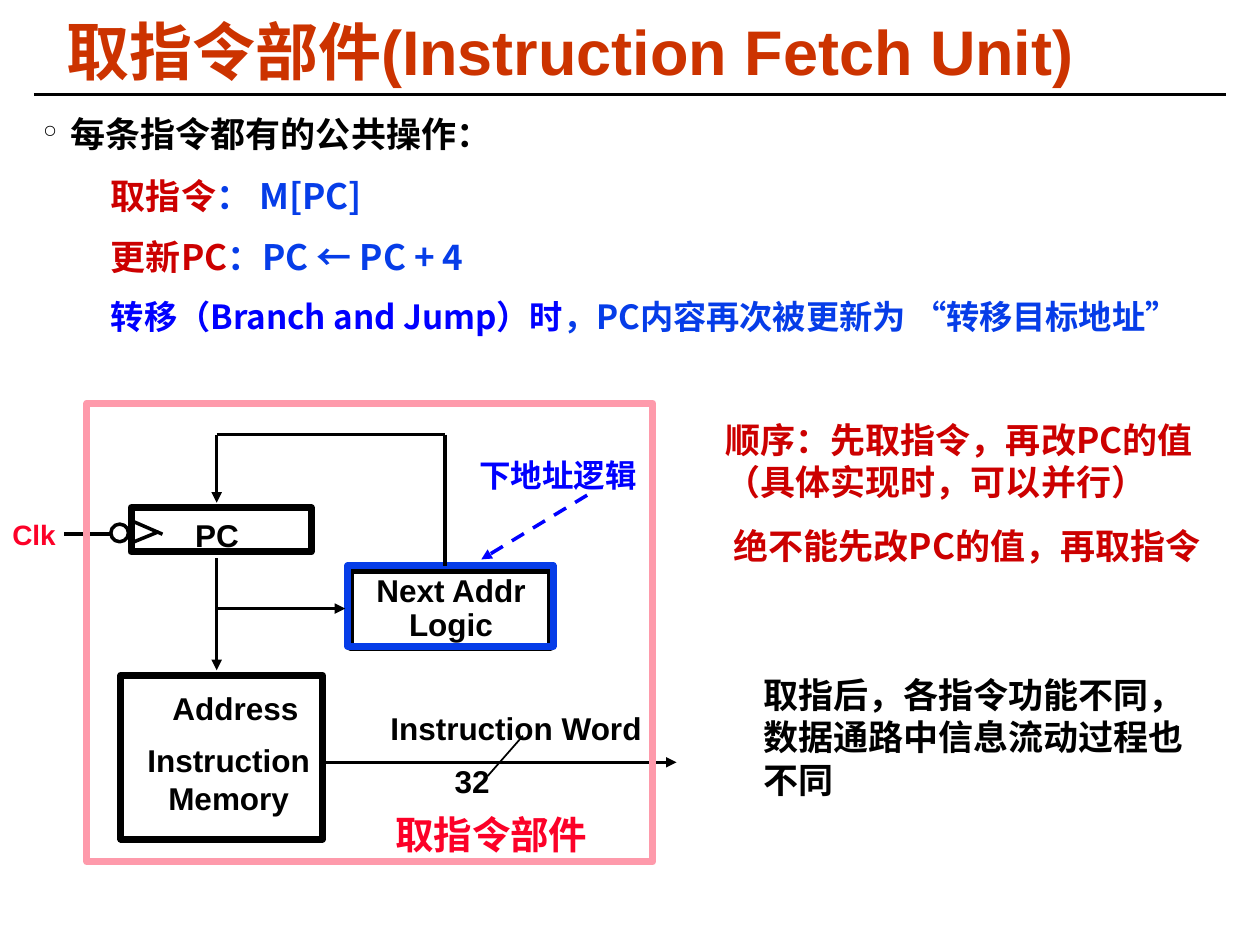
import pptx
import pptx.util
import pptx.dml.color
import pptx.enum.dml
import pptx.enum.shapes
import pptx.enum.text
import pptx.oxml
import pptx.oxml.ns
from dataclasses import dataclass

Shape = pptx.enum.shapes.MSO_SHAPE
Align = pptx.enum.text.PP_ALIGN


@dataclass(frozen=True)
class Theme:
    """Colours, fonts, and sizes in points."""
    black: str = "000000"
    title: str = "CC3300"
    red: str = "CC0000"
    blue: str = "063DE8"
    navy: str = "0000FF"
    bright: str = "FC0128"
    pink: str = "FE9AAB"
    latin: str = "Arial"
    chinese: str = "Noto Sans CJK SC"
    serif: str = "Times New Roman"
    title_size: int = 36
    body_size: int = 20
    branch_size: int = 19
    label_size: int = 18
    clock_size: int = 16
    unit_size: int = 22
    thin: float = 1
    rule: float = 1.5
    wire: float = 2
    frame: float = 4


class Canvas:
    """Draws on one slide; lengths count cells of a 100 by 75 grid."""

    def __init__(self, presentation, theme, columns=100, rows=75):
        self.theme = theme
        self.column = presentation.slide_width / columns
        self.row = presentation.slide_height / rows
        self.slide = presentation.slides.add_slide(presentation.slide_layouts[6])

    def grid(self, *lengths):
        return [round(length * (self.row if index % 2 else self.column))
                for index, length in enumerate(lengths)]

    def add_xml(self, parent, tag, content=""):
        namespace = pptx.oxml.ns.nsdecls("a")
        parent.append(pptx.oxml.parse_xml(f"<a:{tag} {namespace}{content}"))

    def color(self, value):
        return pptx.dml.color.RGBColor.from_string(value)

    def box(self, left, top, width, height, color=None, weight=None, kind=Shape.RECTANGLE):
        shape = self.slide.shapes.add_shape(kind, *self.grid(left, top, width, height))
        shape.shadow.inherit = False
        shape.fill.background()
        shape.line.color.rgb = self.color(color or self.theme.black)
        shape.line.width = pptx.util.Pt(weight or self.theme.frame)

    def line(self, start, end, color=None, weight=None, arrow=False, dashed=False):
        connector = self.slide.shapes.add_connector(
            pptx.enum.shapes.MSO_CONNECTOR.STRAIGHT, *self.grid(*start, *end))
        connector.line.color.rgb = self.color(color or self.theme.black)
        connector.line.width = pptx.util.Pt(weight or self.theme.wire)
        if dashed:
            connector.line.dash_style = pptx.enum.dml.MSO_LINE.DASH
        if arrow:
            self.add_xml(connector.line._get_or_add_ln(), "tailEnd", ' type="triangle"/>')
        self.add_xml(connector._element.spPr, "effectLst", "/>")

    def text(self, left, top, width, height, paragraphs, inset=(1, 0.5), wrap=True, **style):
        """Each paragraph is a string, or a list of (text, colour) runs."""
        box = self.slide.shapes.add_textbox(*self.grid(left, top, width, height))
        frame = box.text_frame
        frame.word_wrap = wrap
        frame.margin_left, frame.margin_top = self.grid(*inset)
        frame.margin_right, frame.margin_bottom = self.grid(*inset)
        for index, content in enumerate(paragraphs):
            paragraph = frame.paragraphs[0] if index == 0 else frame.add_paragraph()
            self.paragraph(paragraph, content, **style)
        return frame

    def paragraph(self, paragraph, content, size=None, color=None, font=None,
                  align=Align.LEFT, before=0, spacing=1.0, indent=0, bullet=None):
        theme = self.theme
        paragraph.alignment = align
        paragraph.line_spacing = spacing
        paragraph.space_before = pptx.util.Pt(before)
        properties = paragraph._p.get_or_add_pPr()
        properties.set("marL", str(self.grid(indent)[0]))
        if bullet:
            properties.set("indent", str(-self.grid(indent)[0]))
            self.add_xml(properties, "buChar", f' char="{bullet}"/>')
        paragraph.font.size = pptx.util.Pt(size or theme.label_size)
        paragraph.font.bold = True
        paragraph.font.name = font or theme.latin
        paragraph.font.color.rgb = self.color(color or theme.black)
        default = properties.find(pptx.oxml.ns.qn("a:defRPr"))
        self.add_xml(default, "ea", f' typeface="{theme.chinese}"/>')
        runs = [(content, None)] if isinstance(content, str) else content
        for words, run_color in runs:
            run = paragraph.add_run()
            run.text = words
            if run_color:
                run.font.color.rgb = self.color(run_color)


theme = Theme()
presentation = pptx.Presentation()
presentation.slide_width = pptx.util.Inches(10)
presentation.slide_height = pptx.util.Inches(7.5)
canvas = Canvas(presentation, theme)

# Title and rule
canvas.line((2.7, 7.5), (97.3, 7.5), weight=theme.rule)
title = canvas.text(3.8, 1.5, 82.9, 5.8, ["取指令部件(Instruction Fetch Unit)"], inset=(0.7, 0.3),
                    size=theme.title_size, color=theme.title, align=Align.CENTER, spacing=0.87)
title.vertical_anchor = pptx.enum.text.MSO_ANCHOR.MIDDLE

# Operations shared by all instructions
body_style = dict(font=theme.chinese, size=theme.body_size, spacing=1.1, before=8.8)
body = canvas.text(2.7, 8.3, 95.1, 18.7, ["每条指令都有的公共操作："], inset=(0.7, 0.3),
                   indent=2.2, bullet="°", **body_style)
steps = [
    ([("取指令", theme.red), ("： M[PC]", theme.blue)], {}),
    ([("更新PC", theme.red), ("：PC ← PC + 4", theme.blue)], {}),
    ([("转移（Branch and Jump）时", theme.navy),
      ("，PC内容再次被更新为 “转移目标地址”", theme.blue)],
     dict(size=theme.branch_size, before=8.2)),
]
for content, changes in steps:
    canvas.paragraph(body.add_paragraph(), content, indent=5.4, **{**body_style, **changes})

# Instruction memory and its output
canvas.line((25.4, 60.5), (53.7, 60.5), arrow=True)
canvas.line((41.5, 58.4), (38.7, 61.6), weight=theme.thin)
canvas.box(9.6, 53.6, 16, 13)
canvas.text(10.2, 58.3, 15.9, 7, ["Instruction", "Memory"], wrap=False, align=Align.CENTER)

# Program counter and clock
canvas.box(10.4, 40.3, 14.3, 3.5)
canvas.line((12.9, 42.4), (10.6, 41.4))
canvas.line((12.6, 42.2), (10.4, 43.1))
canvas.box(8.8, 41.6, 1.4, 1.4, weight=theme.wire, kind=Shape.OVAL)
canvas.line((8.8, 42.4), (5.1, 42.4))
canvas.text(0, 40.6, 5.6, 3.6, ["Clk"], size=theme.clock_size, color=theme.bright)

# Next address logic
canvas.box(27.8, 45.3, 15.9, 6.1)
canvas.text(27.8, 45.2, 16, 6.4, ["Next Addr", "Logic"], wrap=False,
            align=Align.CENTER, spacing=0.9)
canvas.box(27.6, 44.9, 16.3, 6.4, color=theme.blue)

# Single-line labels
for left, top, width, label in [(35.1, 60, 4.8, "32"), (30, 55.8, 24, "Instruction Word"),
                                (12.7, 54.2, 12, "Address"), (14.5, 40.5, 5.5, "PC")]:
    canvas.text(left, top, width, 4, [label], wrap=False)

# Wires between the parts
for start, end, arrow in [((17.2, 44.3), (17.2, 53.2), True),
                          ((17.2, 48.3), (27.4, 48.3), True),
                          ((17.2, 34.5), (17.2, 39.9), True),
                          ((17.2, 34.5), (35.3, 34.5), False),
                          ((35.3, 34.5), (35.3, 44.9), False)]:
    canvas.line(start, end, arrow=arrow)

# Callout for the logic block
canvas.line((46.6, 39.3), (38.2, 44.4), color=theme.navy, arrow=True, dashed=True)
canvas.text(37, 35.7, 14.6, 4, ["下地址逻辑"], font=theme.serif, color=theme.navy,
            align=Align.CENTER)

# Remarks on the right
remark_style = dict(font=theme.chinese, size=theme.body_size, before=12.5)
canvas.text(56.6, 32.7, 41.1, 12.8,
            ["顺序：先取指令，再改PC的值（具体实现时，可以并行）", " 绝不能先改PC的值，再取指令"],
            color=theme.red, **remark_style)
canvas.text(59.6, 53, 36.8, 11,
            ["取指后，各指令功能不同，数据通路中信息流动过程也不同"], **remark_style)

# Frame around the whole unit
canvas.box(6.9, 32, 44.9, 36.4, color=theme.pink)
canvas.text(25.7, 63.9, 26.6, 4.7, ["取指令部件"], size=theme.unit_size, color=theme.bright,
            align=Align.CENTER)

presentation.save("out.pptx")
